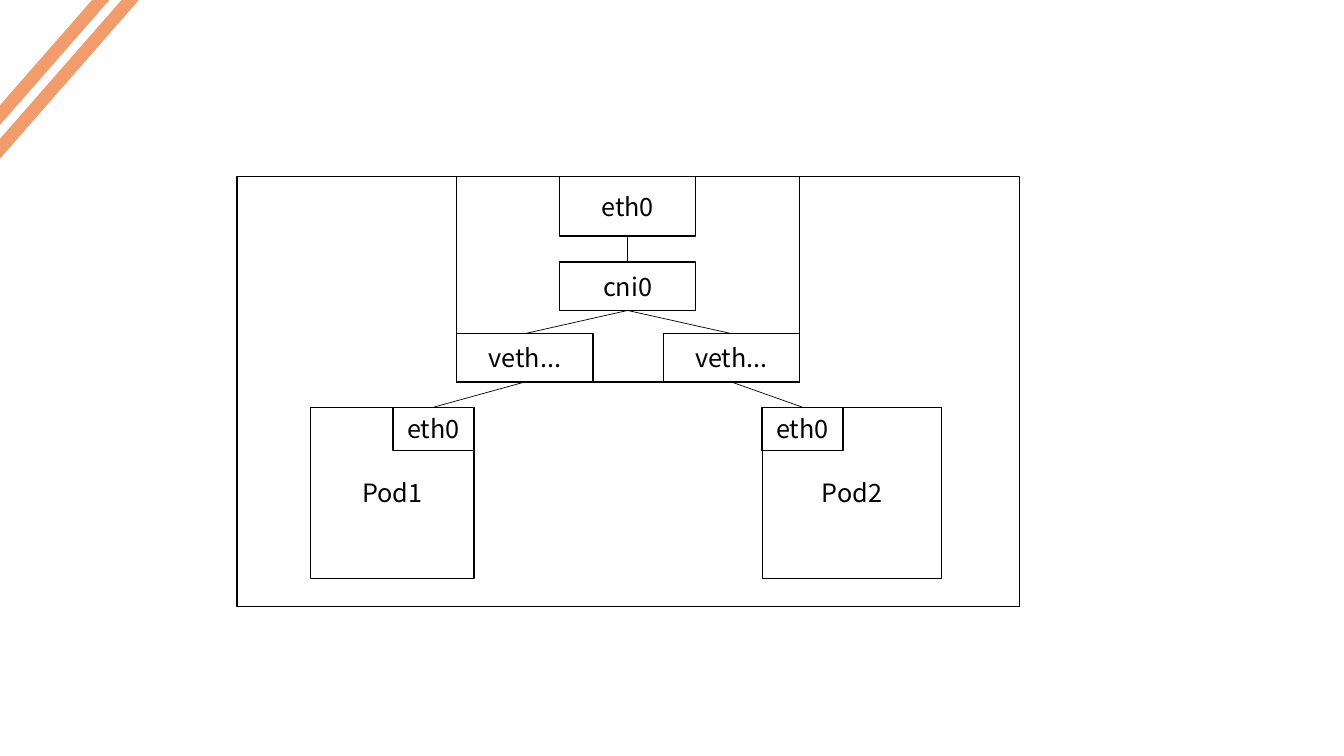
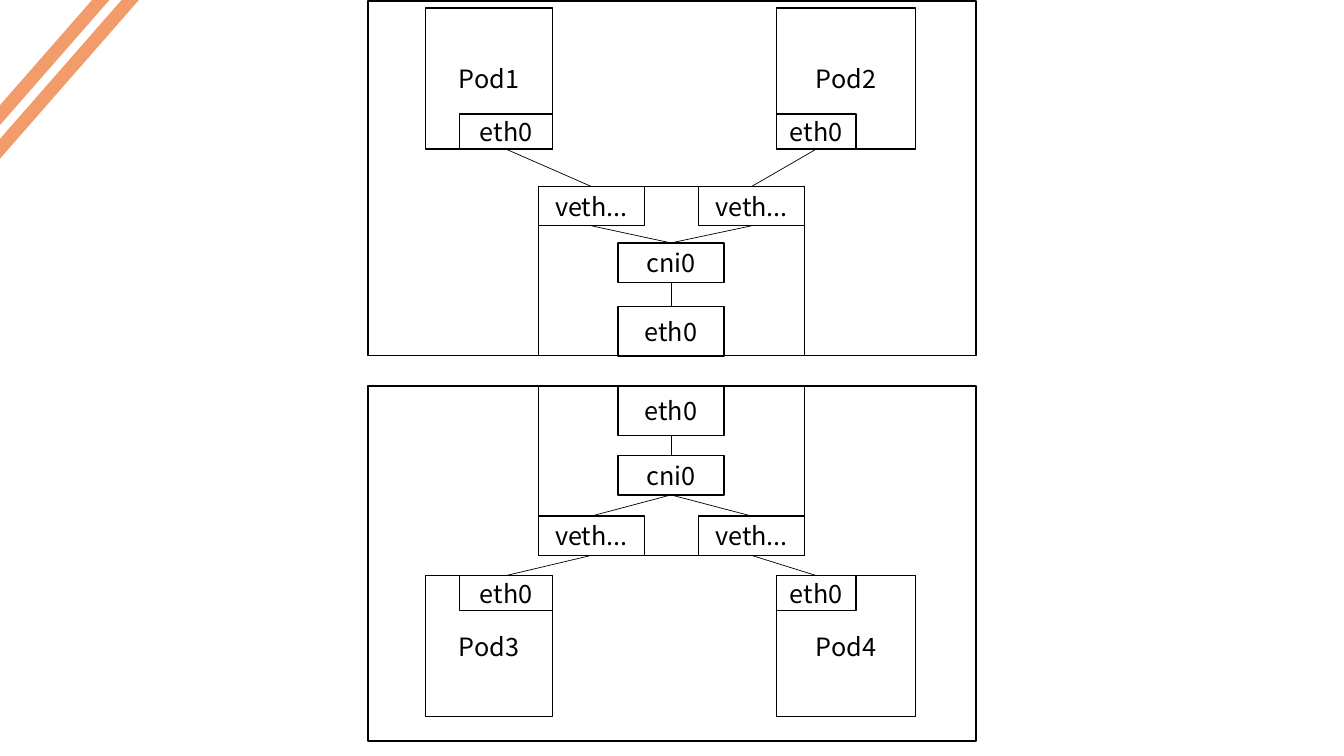
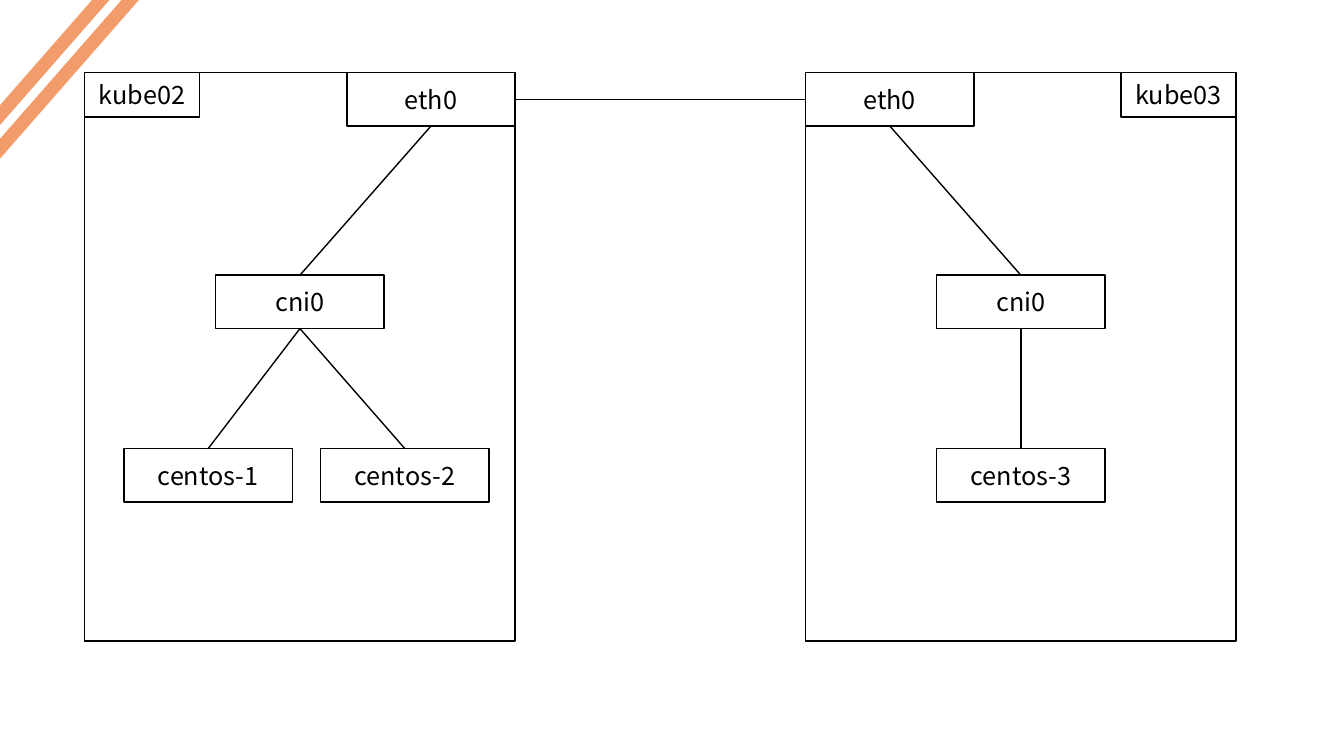
from lxml.etree import SubElement
from pptx import Presentation
from pptx.dml.color import RGBColor
from pptx.enum.shapes import MSO_CONNECTOR, MSO_SHAPE
from pptx.enum.text import MSO_ANCHOR, PP_ALIGN
from pptx.oxml.ns import qn
from pptx.util import Pt

SCALE = 9144
HEX = {"ink": "000000", "paper": "FFFFFF", "stripe": "ED6A23"}
FONT = {"name": "Noto Sans CJK SC", "size": Pt(18)}
FRAME = {"vertical_anchor": MSO_ANCHOR.MIDDLE, "word_wrap": True}
STRIPE = {"rotation": 311.2}
TOP, LEFT, BOTTOM, RIGHT = range(4)

SINGLE = {
    "host": (235, 776, 427), "net": (453, 340, 204),
    "uplink": (135, 59), "box": (135, 48),
    "pods": ((308, 162), (756, 178)), "tall": 170,
    "ports": (80, 80), "port": 43,
}
PAIR = {
    "host": (365, 603, 352), "net": (534, 264, 168),
    "uplink": (105, 49), "box": (105, 39),
    "pods": ((422, 126), (770, 138)), "tall": 140,
    "ports": (92, 79), "port": 35,
}


def px(value):
    return value * SCALE


def color(key):
    return RGBColor.from_string(HEX[key])


def assign(target, values):
    for name, value in values.items():
        setattr(target, name, value)


def align(start, span, inner, end):
    return start + span - inner if end else start


def middle(start, span, inner):
    return start + (span - inner) // 2


def rect(shapes, x, y, w, h, fill="paper"):
    shape = shapes.add_shape(MSO_SHAPE.RECTANGLE, px(x), px(y), px(w), px(h))
    shape.shadow.inherit = False
    shape.fill.solid()
    shape.fill.fore_color.rgb = color(fill)
    return shape


def box(shapes, x, y, w, h, text=""):
    shape = rect(shapes, x, y, w, h)
    shape.line.color.rgb = color("ink")
    shape.line.width = Pt(1)
    if text:
        assign(shape.text_frame, FRAME)
        para = shape.text_frame.paragraphs[0]
        para.text = text
        para.alignment = PP_ALIGN.CENTER
        assign(para.font, FONT)
        para.font.color.rgb = color("ink")
    return shape


def join(shapes, start, out, end, into, width):
    link = shapes.add_connector(MSO_CONNECTOR.STRAIGHT, 0, 0, 0, 0)
    link.begin_connect(start, out)
    link.end_connect(end, into)
    link.line.color.rgb = color("ink")
    link.line.width = Pt(width)
    SubElement(link._element.spPr, qn("a:effectLst"))


def stripes(slide):
    for x, y in ((-52, 68), (-69, 54)):
        shape = rect(slide.shapes, x, y, 232, 13, "stripe")
        assign(shape, STRIPE)
        shape.line.fill.background()
        tint = shape.fill._xPr.find(".//" + qn("a:srgbClr"))
        SubElement(tint, qn("a:alpha"), val="67000")


def network(slide, size, top, bridge_y, pod_y, names, flip=False):
    shapes = slide.shapes.add_group_shape().shapes
    near, far = (BOTTOM, TOP) if flip else (TOP, BOTTOM)
    x, w, h = size["host"]
    net_x, net_w, net_h = size["net"]
    up_w, up_h = size["uplink"]
    box_w, box_h = size["box"]
    net_y = align(top, h, net_h, flip)
    veth_y = align(net_y, net_h, box_h, not flip)
    port_y = align(pod_y, size["tall"], size["port"], flip)

    box(shapes, x, top, w, h)
    box(shapes, net_x, net_y, net_w, net_h)
    uplink = box(shapes, middle(net_x, net_w, up_w),
                 align(top, h, up_h, flip), up_w, up_h, "eth0")
    bridge = box(shapes, middle(net_x, net_w, box_w), bridge_y,
                 box_w, box_h, "cni0")
    join(shapes, uplink, far, bridge, near, 0.5)

    sides = zip(names, size["pods"], size["ports"], (False, True))
    for name, (pod_x, pod_w), port_w, right in sides:
        box(shapes, pod_x, pod_y, pod_w, size["tall"], name)
        port = box(shapes, align(pod_x, pod_w, port_w, not right), port_y,
                   port_w, size["port"], "eth0")
        veth = box(shapes, align(net_x, net_w, box_w, right), veth_y,
                   box_w, box_h, "veth...")
        join(shapes, bridge, far, veth, near, 0.5)
        join(shapes, veth, far, port, near, 0.5)


def server(shapes, x, name, pods, right):
    y, w, h, node_w, node_h, tag_w = 72, 427, 564, 167, 53, 114
    box(shapes, x, y, w, h)
    box(shapes, align(x, w, tag_w, right), y, tag_w, 44, name)
    uplink = box(shapes, align(x, w, node_w, not right), y,
                 node_w, node_h, "eth0")
    bridge = box(shapes, middle(x, w, node_w), 273, node_w, node_h, "cni0")
    join(shapes, uplink, BOTTOM, bridge, TOP, 1)
    for text, pod_x in pods:
        pod = box(shapes, pod_x, 445, node_w, node_h, text)
        join(shapes, bridge, BOTTOM, pod, TOP, 1)
    return uplink


def cluster(slide):
    shapes = slide.shapes.add_group_shape().shapes
    first = server(shapes, 84, "kube02",
                   (("centos-1", 123), ("centos-2", 318)), False)
    second = server(shapes, 799, "kube03", (("centos-3", 929),), True)
    join(shapes, first, RIGHT, second, LEFT, 1)


def main():
    deck = Presentation()
    assign(deck, {"slide_width": px(1333), "slide_height": px(750)})
    blank = deck.slide_layouts[6]
    one, two, three = (deck.slides.add_slide(blank) for _ in range(3))
    network(one, SINGLE, 175, 260, 404, ("Pod1", "Pod2"))
    network(two, PAIR, 383, 452, 571, ("Pod3", "Pod4"))
    network(two, PAIR, 1, 241, 8, ("Pod1", "Pod2"), flip=True)
    cluster(three)
    for slide in deck.slides:
        stripes(slide)
    deck.save("out.pptx")


if __name__ == "__main__":
    main()
